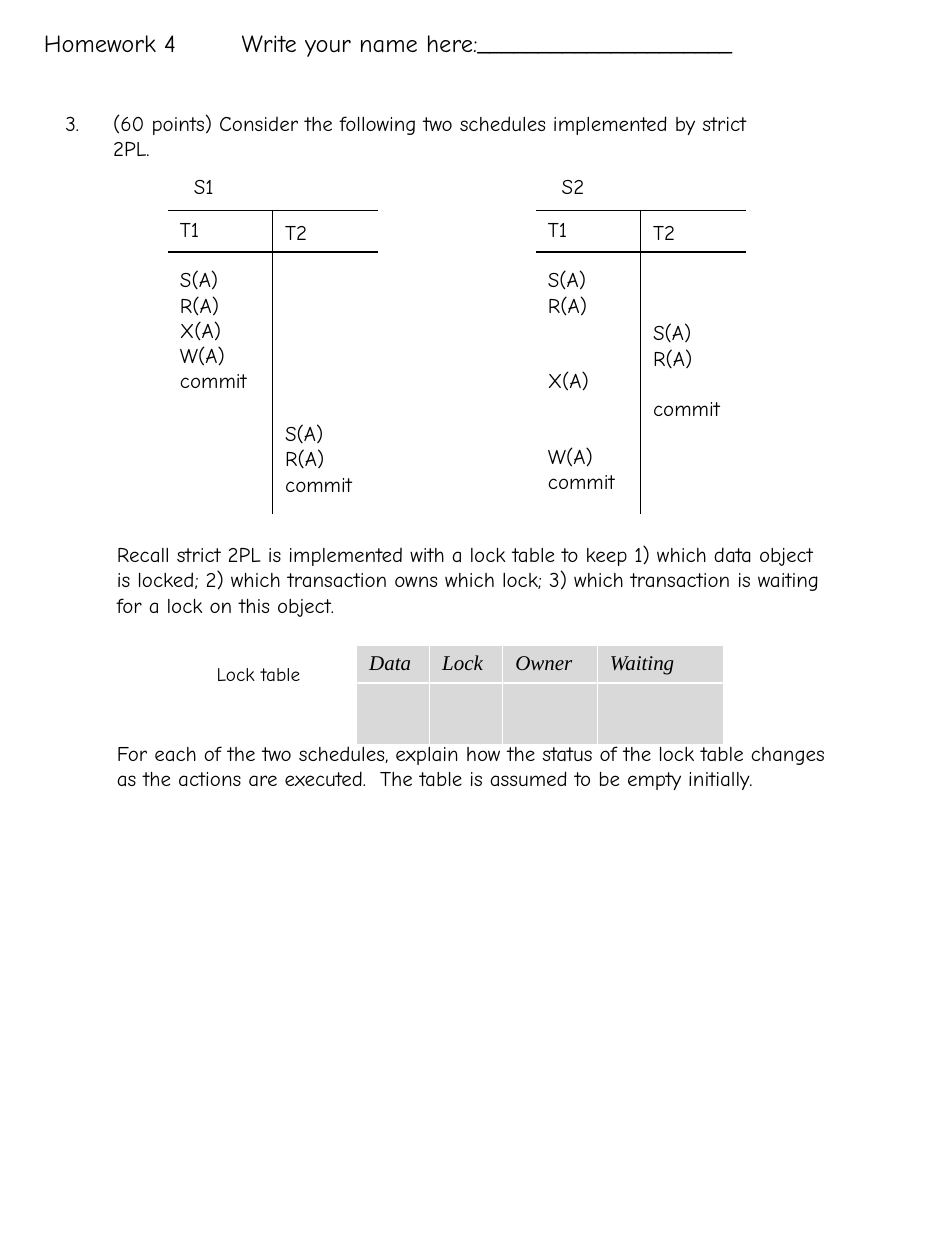
from lxml import etree
from pptx import Presentation
from pptx.dml.color import RGBColor
from pptx.enum.shapes import MSO_CONNECTOR
from pptx.enum.text import MSO_AUTO_SIZE
from pptx.oxml.ns import qn
from pptx.util import Inches, Pt

STRAIGHT = MSO_CONNECTOR.STRAIGHT
GROW = MSO_AUTO_SIZE.SHAPE_TO_FIT_TEXT
BLACK = RGBColor(0x00, 0x00, 0x00)
WHITE = RGBColor(0xFF, 0xFF, 0xFF)
GREY = RGBColor(0xD9, 0xD9, 0xD9)

BODY_FONT = "Comic Neue"
TABLE_FONT = "Times New Roman"
LINE_HEIGHT = 14.4
SCHEDULE_WIDTH = 1.67
COLUMN = SCHEDULE_WIDTH / 2

SCHEDULES = [
    ("S1", 1.33,
     [(0, "T1"), (1, "S(A)"), (0, "R(A)"), (0, "X(A)"), (0, "W(A)"), (0, "commit")],
     [(0, "T2"), (7, "S(A)"), (0, "R(A)"), (0, "commit")]),
    ("S2", 4.25,
     [(0, "T1"), (1, "S(A)"), (0, "R(A)"), (2, "X(A)"), (2, "W(A)"), (0, "commit")],
     [(0, "T2"), (3, "S(A)"), (0, "R(A)"), (1, "commit")]),
]


class Worksheet:
    def __init__(self, slide):
        self.slide = slide

    def style(self, paragraph, size, font=BODY_FONT, italic=False):
        for run in paragraph.runs:
            run.font.size = Pt(size)
            run.font.name = font
            run.font.italic = italic
            run.font.color.rgb = BLACK

    def text(self, left, top, width, height, words, size=12):
        box = self.slide.shapes.add_textbox(
            Inches(left), Inches(top), Inches(width), Inches(height))
        frame = box.text_frame
        frame.word_wrap = True
        frame.auto_size = GROW
        frame.text = words
        for paragraph in frame.paragraphs:
            self.style(paragraph, size)
        return frame.paragraphs

    def numbered(self, left, top, width, height, words, number):
        question = self.text(left, top, width, height, words)[0]
        properties = question._p.get_or_add_pPr()
        properties.set("marL", str(Inches(0.38)))
        properties.set("indent", str(-Inches(0.38)))
        etree.SubElement(properties, qn("a:buAutoNum"),
                         type="arabicPeriod", startAt=str(number))

    def tabbed(self, left, top, width, height, words, size, stop):
        heading = self.text(left, top, width, height, words, size)[0]
        stops = etree.SubElement(heading._p.get_or_add_pPr(), qn("a:tabLst"))
        etree.SubElement(stops, qn("a:tab"), pos=str(Inches(stop)), algn="l")

    def line(self, x1, y1, x2, y2):
        rule = self.slide.shapes.add_connector(
            STRAIGHT, Inches(x1), Inches(y1), Inches(x2), Inches(y2))
        rule.line.color.rgb = BLACK
        rule.line.width = Pt(0.75)
        etree.SubElement(rule._element.spPr, qn("a:effectLst"))

    def actions(self, left, top, steps):
        rows = sum(gap + 1 for gap, _ in steps)
        height = 0.1 + rows * LINE_HEIGHT / 72
        words = "\n".join(action for _, action in steps)
        paragraphs = self.text(left, top, COLUMN, height, words)
        for paragraph, (gap, _) in zip(paragraphs, steps):
            paragraph.space_before = Pt(gap * LINE_HEIGHT)

    def schedule(self, name, left, first, second):
        right, middle = left + SCHEDULE_WIDTH, left + COLUMN
        for y in (2, 1.67):
            self.line(left, y, right, y)
        self.line(middle, 1.67, middle, 4.08)
        self.actions(middle, 1.69, second)
        self.actions(left, 1.67, first)
        self.text(left + 0.11, 1.33, 0.45, 0.3, name)

    def borders(self, cell, widths):
        properties = cell._tc.get_or_add_tcPr()
        for position, (side, width) in enumerate(widths.items()):
            border = etree.Element(qn(f"a:ln{side}"), w=str(Pt(width)))
            fill = etree.SubElement(border, qn("a:solidFill"))
            etree.SubElement(fill, qn("a:srgbClr"), val=str(WHITE))
            properties.insert(position, border)

    def table(self, left, top, widths, heights, headers):
        grid = self.slide.shapes.add_table(
            len(heights), len(widths), Inches(left), Inches(top),
            Inches(sum(widths)), Inches(sum(heights))).table
        grid.first_row = False
        grid.horz_banding = False
        for column, width in zip(grid.columns, widths):
            column.width = Inches(width)
        for row, height in zip(grid.rows, heights):
            row.height = Inches(height)
        for index, header in enumerate(headers):
            title, entry = grid.cell(0, index), grid.cell(1, index)
            title.text = header
            self.style(title.text_frame.paragraphs[0], 12, TABLE_FONT, True)
            for cell, above, below in ((title, 0.45, 1.47), (entry, 1.47, 0.45)):
                cell.fill.solid()
                cell.fill.fore_color.rgb = GREY
                self.borders(cell, {"L": 0.45, "R": 0.45, "T": above, "B": below})


def main():
    deck = Presentation()
    deck.slide_width, deck.slide_height = Inches(7.5), Inches(10)
    sheet = Worksheet(deck.slides.add_slide(deck.slide_layouts[6]))

    sheet.tabbed(0.25, 0.17, 7.17, 0.34,
                 "Homework 4\tWrite your name here:" + "_" * 21, 14, 1.57)
    sheet.numbered(0.42, 0.83, 5.83, 0.5,
                   "(60 points) Consider the following two schedules "
                   "implemented by strict 2PL.", 3)
    for schedule in SCHEDULES:
        sheet.schedule(*schedule)
    sheet.text(0.83, 4.25, 5.83, 0.7,
               "Recall strict 2PL is implemented with a lock table to keep "
               "1) which data object is locked; 2) which transaction owns which "
               "lock; 3) which transaction is waiting for a lock on this object.")
    sheet.table(2.83, 5.12, [0.58, 0.58, 0.75, 1], [0.3, 0.49],
                ["Data", "Lock", "Owner", "Waiting"])
    sheet.text(1.62, 5.21, 0.95, 0.29, "Lock table", size=11)
    sheet.text(0.83, 5.83, 5.83, 0.5,
               "For each of the two schedules, explain how the status of the "
               "lock table changes as the actions are executed.  The table is "
               "assumed to be empty initially.")
    deck.save("out.pptx")


if __name__ == "__main__":
    main()
